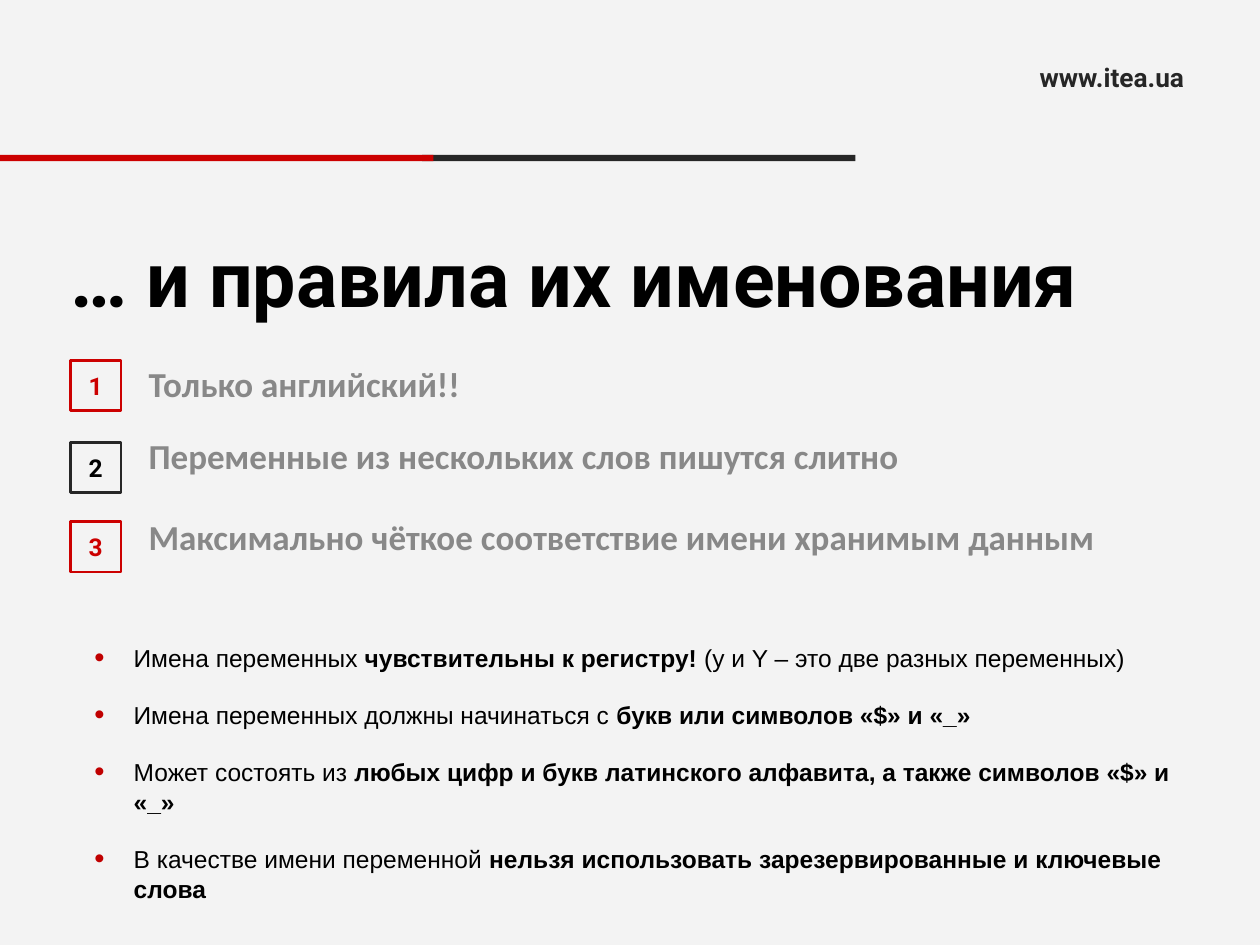
import pptx
import pptx.dml.color
import pptx.enum.shapes
import pptx.enum.text
import pptx.oxml
import pptx.oxml.ns
import pptx.util

Pt = pptx.util.Pt
ALIGN = pptx.enum.text.PP_ALIGN
ANCHOR = pptx.enum.text.MSO_ANCHOR
COLORS = {
    "background": "F3F3F3",
    "red": "CC0000",
    "dark": "262626",
    "black": "000000",
    "gray": "888888",
    "bullet": "C00000",
}


def rgb(name):
    return pptx.dml.color.RGBColor.from_string(COLORS[name])


def add_bullet(paragraph):
    properties = paragraph._p.get_or_add_pPr()
    properties.set("marL", str(Pt(22.5)))
    properties.set("indent", str(-Pt(22.5)))
    namespace = pptx.oxml.ns.nsdecls("a")
    for element in (
        f'<a:buClr {namespace}><a:srgbClr val="{COLORS["bullet"]}"/></a:buClr>',
        f'<a:buSzPct {namespace} val="119000"/>',
        f'<a:buFont {namespace} typeface="Arial"/>',
        f'<a:buChar {namespace} char="•"/>',
    ):
        properties.append(pptx.oxml.parse_xml(element))


def write_text(shape, paragraphs, size, font, color, bold=True, align=ALIGN.LEFT,
               anchor=ANCHOR.TOP, gaps=(), bullets=False):
    frame = shape.text_frame
    frame.word_wrap = True
    frame.vertical_anchor = anchor
    for index, pieces in enumerate(paragraphs):
        paragraph = frame.add_paragraph() if index else frame.paragraphs[0]
        if bullets:
            add_bullet(paragraph)
        paragraph.alignment = align
        if index and gaps:
            paragraph.space_before = Pt(gaps[index - 1])
        for text, emphasis in ([(pieces, bold)] if isinstance(pieces, str) else pieces):
            run = paragraph.add_run()
            run.text = text
            run.font.size = Pt(size)
            run.font.name = font
            run.font.bold = emphasis
            run.font.color.rgb = rgb(color)


def add_text(slide, left, top, width, height, paragraphs, **style):
    box = slide.shapes.add_textbox(Pt(left), Pt(top), Pt(width), Pt(height))
    write_text(box, paragraphs, **style)


def add_rectangle(slide, left, top, width, height):
    rectangle = slide.shapes.add_shape(
        pptx.enum.shapes.MSO_SHAPE.RECTANGLE, Pt(left), Pt(top), Pt(width), Pt(height))
    rectangle.shadow.inherit = False
    return rectangle


def add_bar(slide, left, color):
    bar = add_rectangle(slide, left, 88.5, 247.7, 3.6)
    bar.fill.solid()
    bar.fill.fore_color.rgb = rgb(color)
    bar.line.fill.background()


def add_number(slide, top, number, line_color, text_color):
    square = add_rectangle(slide, 40.3, top, 28.8, 28.8)
    square.fill.background()
    square.line.color.rgb = rgb(line_color)
    square.line.width = Pt(1.5)
    frame = square.text_frame
    frame.margin_left = frame.margin_right = Pt(7.2)
    frame.margin_top = frame.margin_bottom = Pt(7.2)
    write_text(square, [number], size=14, font="Roboto", color=text_color,
               align=ALIGN.CENTER, anchor=ANCHOR.MIDDLE)


def main():
    presentation = pptx.Presentation()
    presentation.slide_width = Pt(720)
    presentation.slide_height = Pt(540)
    slide = presentation.slides.add_slide(presentation.slide_layouts[6])
    slide.background.fill.solid()
    slide.background.fill.fore_color.rgb = rgb("background")

    add_text(slide, 562.3, 32.4, 146.2, 23, ["www.itea.ua"], size=15, font="Roboto",
             color="dark", align=ALIGN.CENTER, anchor=ANCHOR.MIDDLE)
    add_bar(slide, 241.2, "dark")
    add_bar(slide, 0, "red")
    add_text(slide, 33.1, 128.2, 612, 47.5, ["… и правила их именования"],
             size=44, font="Roboto", color="black")

    rules = [
        "Только английский!!",
        "Переменные из нескольких слов пишутся слитно",
        "Максимально чёткое соответствие имени хранимым данным",
    ]
    add_text(slide, 77.8, 203.5, 577.4, 108.7, rules, size=20, font="Calibri",
             color="gray", gaps=(17, 22.5))
    for top, number, line_color, text_color in (
        (205.9, "1", "red", "red"),
        (252.7, "2", "dark", "black"),
        (298.1, "3", "red", "red"),
    ):
        add_number(slide, top, number, line_color, text_color)

    details = [
        [("Имена переменных ", False), ("чувствительны к регистру! ", True),
         ("(y и Y – это две разных переменных)", False)],
        [("Имена переменных должны начинаться с ", False),
         ("букв или символов «$» и «_»", True)],
        [("Может состоять из ", False),
         ("любых цифр и букв латинского алфавита, а также символов «$» и «_»", True)],
        [("В качестве имени переменной ", False),
         ("нельзя использовать зарезервированные и ключевые слова", True)],
    ]
    add_text(slide, 46.8, 363.6, 652.3, 159.8, details, size=14, font="Arial",
             color="black", gaps=(16, 16, 16), bullets=True)

    presentation.save("out.pptx")


if __name__ == "__main__":
    main()
